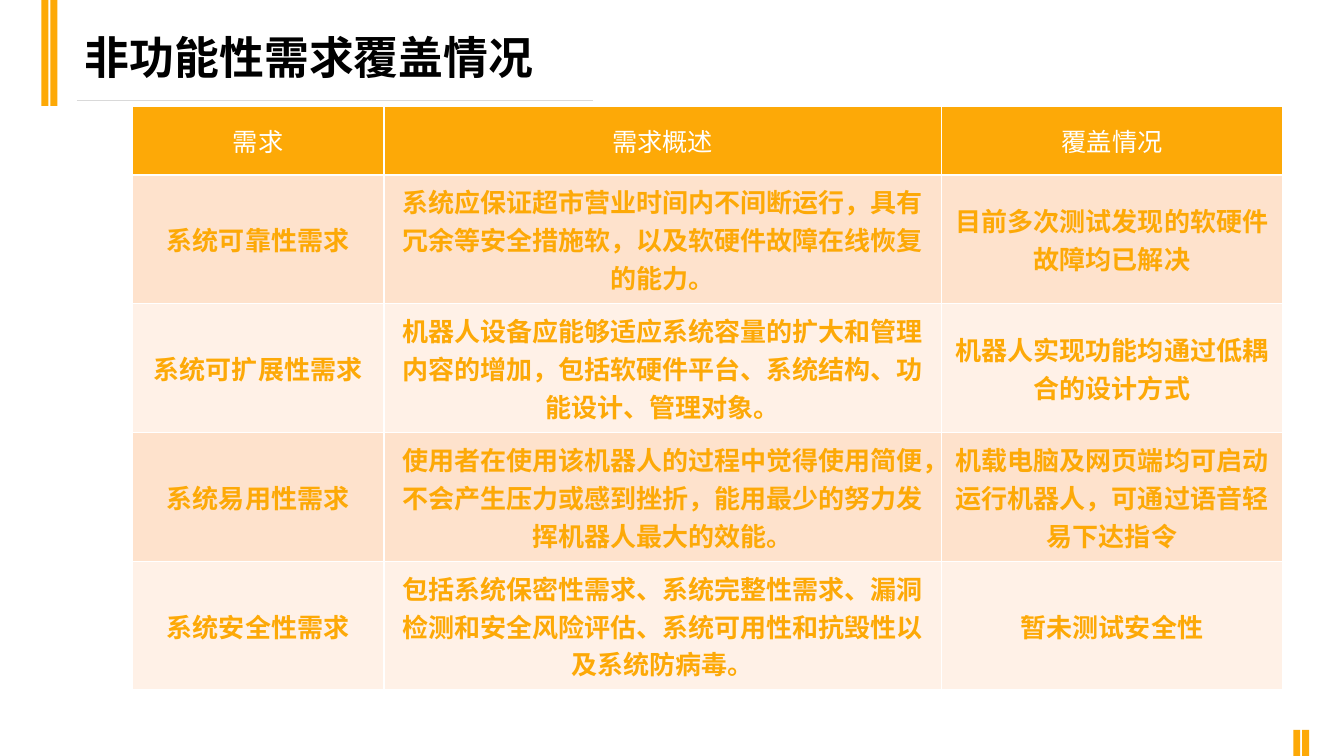
import pptx
import pptx.util
import pptx.dml.color
import pptx.enum.shapes
import pptx.enum.text
import pptx.oxml
import pptx.oxml.ns

Pt = pptx.util.Pt
COLORS = {"accent": "FDA907", "band": "FEE2CC", "light": "FFF1E7",
          "rule": "D9D9D9", "white": "FFFFFF", "black": "000000"}
CJK_FONT = "Noto Sans CJK SC"


def rgb(name):
    return pptx.dml.color.RGBColor.from_string(COLORS[name])


def format_text(paragraph, size, font_name, color, bold):
    for run in paragraph.runs:
        font = run.font
        font.size, font.name, font.bold = Pt(size), font_name, bold
        font.color.rgb = rgb(color)
        east_asian = pptx.oxml.parse_xml(
            f'<a:ea {pptx.oxml.ns.nsdecls("a")} typeface="{CJK_FONT}"/>')
        font._element.find(pptx.oxml.ns.qn("a:latin")).addnext(east_asian)


presentation = pptx.Presentation()
presentation.slide_width, presentation.slide_height = Pt(960), Pt(540)
slide = presentation.slides.add_slide(presentation.slide_layouts[5])

# Pairs of accent bars in the top left and bottom right corners
for left, top, height in [(29.6, 0, 75.6), (36, 0, 75.6),
                          (923.8, 521.3, 18.7), (930.2, 521.3, 18.7)]:
    bar = slide.shapes.add_shape(pptx.enum.shapes.MSO_SHAPE.RECTANGLE,
                                 Pt(left), Pt(top), Pt(5), Pt(height))
    bar.shadow.inherit = False
    bar.fill.solid()
    bar.fill.fore_color.rgb = rgb("accent")
    bar.line.fill.background()

# Rule under the title
rule = slide.shapes.add_connector(pptx.enum.shapes.MSO_CONNECTOR.STRAIGHT,
                                  Pt(55), Pt(71.5), Pt(423.4), Pt(71.5))
rule.line.color.rgb = rgb("rule")
rule.line.width = Pt(0.75)
rule._element.spPr.append(
    pptx.oxml.parse_xml(f'<a:effectLst {pptx.oxml.ns.nsdecls("a")}/>'))

# Title
title = slide.shapes.title
title.left, title.top, title.width, title.height = Pt(53.5), Pt(17.5), Pt(624), Pt(46)
title.text_frame.text = "非功能性需求覆盖情况"
title.text_frame.word_wrap = True
title.text_frame.auto_size = pptx.enum.text.MSO_AUTO_SIZE.NONE
title.text_frame.vertical_anchor = pptx.enum.text.MSO_ANCHOR.MIDDLE
title_paragraph = title.text_frame.paragraphs[0]
title_paragraph.alignment = pptx.enum.text.PP_ALIGN.LEFT
format_text(title_paragraph, 32, "Arial Narrow", "black", True)

# Requirements table
rows = [
    ("需求", "需求概述", "覆盖情况"),
    ("系统可靠性需求",
     "系统应保证超市营业时间内不间断运行，具有冗余等安全措施软，以及软硬件故障在线恢复的能力。",
     "目前多次测试发现的软硬件故障均已解决"),
    ("系统可扩展性需求",
     "机器人设备应能够适应系统容量的扩大和管理内容的增加，包括软硬件平台、系统结构、功能设计、管理对象。",
     "机器人实现功能均通过低耦合的设计方式"),
    ("系统易用性需求",
     "使用者在使用该机器人的过程中觉得使用简便，不会产生压力或感到挫折，能用最少的努力发挥机器人最大的效能。",
     "机载电脑及网页端均可启动运行机器人，可通过语音轻易下达指令"),
    ("系统安全性需求",
     "包括系统保密性需求、系统完整性需求、漏洞检测和安全风险评估、系统可用性和抗毁性以及系统防病毒。",
     "暂未测试安全性"),
]
column_widths = [180, 398, 244]
row_heights = [49] + [92] * 4
table = slide.shapes.add_table(len(rows), len(column_widths), Pt(94.3), Pt(76),
                               Pt(sum(column_widths)), Pt(sum(row_heights))).table
for column, width in zip(table.columns, column_widths):
    column.width = Pt(width)

for row_index, texts in enumerate(rows):
    table.rows[row_index].height = Pt(row_heights[row_index])
    is_header = row_index == 0
    fill_name = "accent" if is_header else ("band" if row_index % 2 else "light")
    for column_index, text in enumerate(texts):
        cell = table.cell(row_index, column_index)
        cell.text_frame.text = text
        cell.vertical_anchor = pptx.enum.text.MSO_ANCHOR.MIDDLE
        cell.fill.solid()
        cell.fill.fore_color.rgb = rgb(fill_name)
        if not is_header and column_index < 2:
            cell.margin_left = cell.margin_right = Pt(5)
            cell.margin_top = cell.margin_bottom = Pt(0)
        paragraph = cell.text_frame.paragraphs[0]
        paragraph.alignment = pptx.enum.text.PP_ALIGN.CENTER
        if is_header:
            format_text(paragraph, 18, "Arial", "white", False)
        else:
            format_text(paragraph, 18.6, CJK_FONT, "accent", True)
        # White cell borders
        for position, side in enumerate(("lnL", "lnR", "lnT", "lnB")):
            border = pptx.oxml.parse_xml(
                f'<a:{side} {pptx.oxml.ns.nsdecls("a")} w="{Pt(1)}"><a:solidFill>'
                f'<a:srgbClr val="{COLORS["white"]}"/></a:solidFill></a:{side}>')
            cell._tc.get_or_add_tcPr().insert(position, border)

presentation.save("out.pptx")
